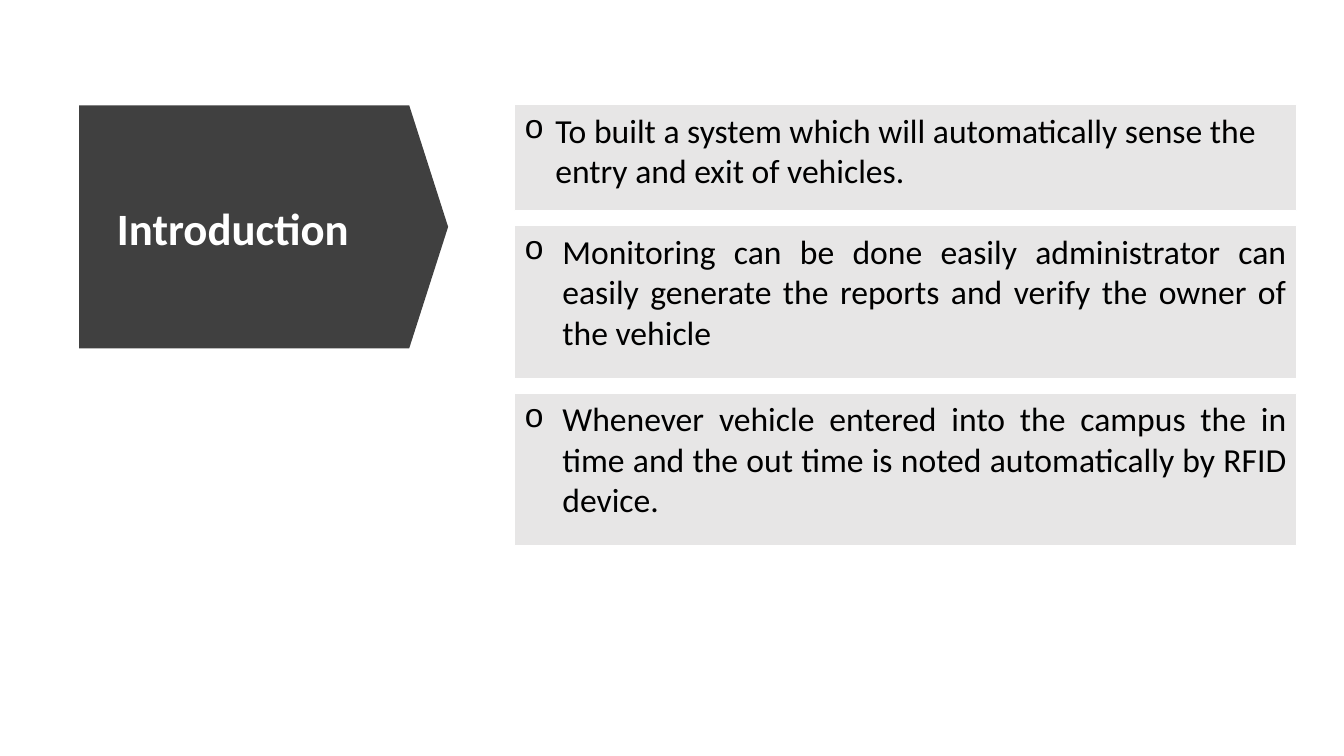
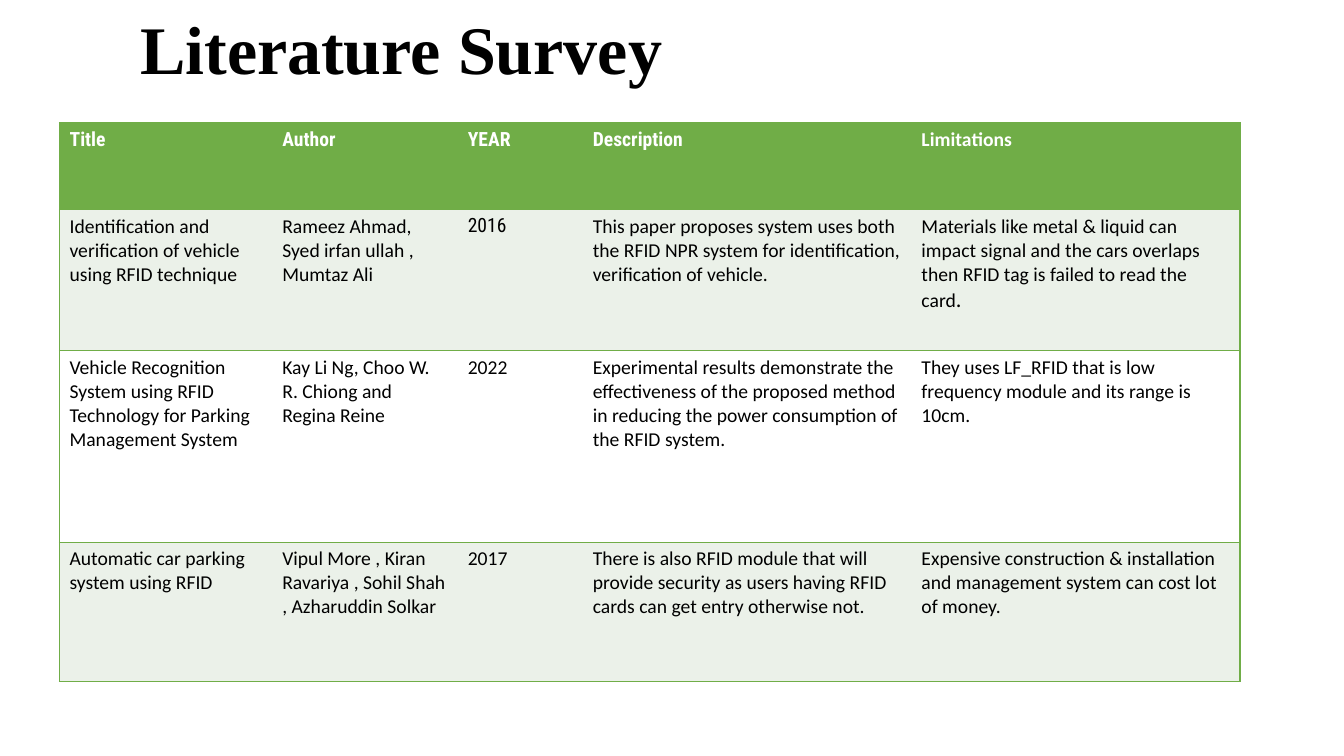
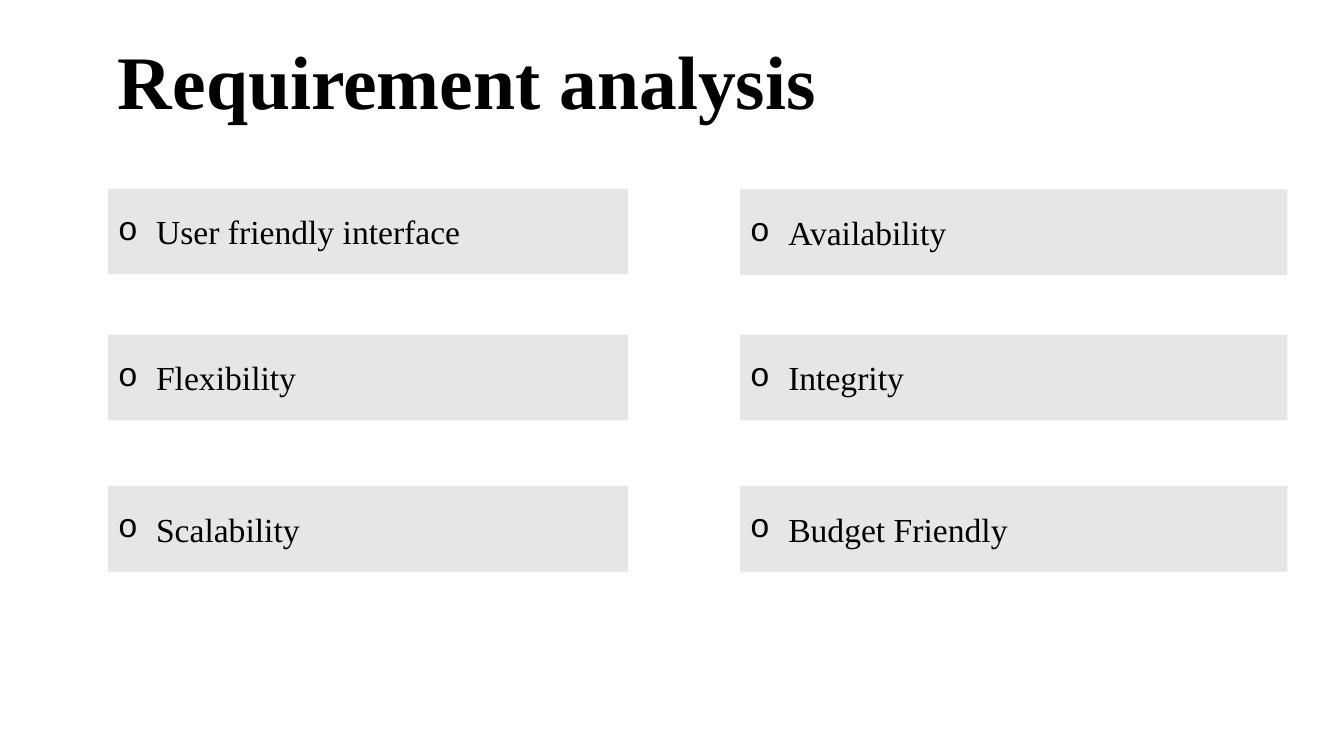
from lxml.etree import SubElement
from pptx import Presentation
from pptx.dml.color import RGBColor
from pptx.enum.shapes import MSO_SHAPE
from pptx.enum.text import MSO_ANCHOR, MSO_AUTO_SIZE, PP_ALIGN
from pptx.oxml.ns import qn
from pptx.util import Inches, Pt

BLACK = RGBColor(0x00, 0x00, 0x00)
WHITE = RGBColor(0xFF, 0xFF, 0xFF)
CHARCOAL = RGBColor(0x40, 0x40, 0x40)
PANEL = RGBColor(0xE7, 0xE6, 0xE6)
GREEN = RGBColor(0x70, 0xAD, 0x47)
PALE_GREEN = RGBColor(0xEB, 0xF1, 0xE9)
SANS, SERIF, CONDENSED = "Calibri", "Times New Roman", "Roboto Condensed"

GOALS = [  # text, panel height, indent, alignment
    ("To built a system which will automatically sense the entry and exit of vehicles.",
     1.05, 0.31, PP_ALIGN.LEFT),
    ("Monitoring can be done easily administrator can easily generate the reports "
     "and verify the owner of the vehicle", 1.51, 0.38, PP_ALIGN.JUSTIFY),
    ("Whenever vehicle entered into the campus the in time and the out time is noted "
     "automatically by RFID device.", 1.51, 0.38, PP_ALIGN.JUSTIFY),
]
PAPERS = [
    ("Title", "Author", "YEAR", "Description", "Limitations"),
    ("Identification and verification of vehicle using RFID technique",
     "Rameez Ahmad, Syed irfan ullah ,\nMumtaz Ali", "2016",
     "This paper proposes system uses both the RFID NPR system for identification, "
     "verification of vehicle.",
     "Materials like metal & liquid can impact signal and the cars overlaps then "
     "RFID tag is failed to read the card"),
    ("Vehicle Recognition System using RFID Technology for Parking Management System",
     "Kay Li Ng, Choo W. R. Chiong and Regina Reine", "2022",
     "Experimental results demonstrate the effectiveness of the proposed method in "
     "reducing the power consumption of the RFID system.",
     "They uses LF_RFID that is low frequency module and its range is 10cm."),
    ("Automatic car parking system using RFID",
     "Vipul More , Kiran Ravariya , Sohil Shah , Azharuddin Solkar", "2017",
     "There is also RFID module that will provide security as users having RFID cards "
     "can get entry otherwise not.",
     "Expensive construction & installation and management system can cost lot of money."),
]
REQUIREMENTS = [  # left, top of first panel, width, items
    (1.07, 1.87, 5.16, ("User friendly interface", "Flexibility", "Scalability")),
    (7.34, 1.88, 5.43, ("Availability", "Integrity", "Budget Friendly")),
]


def write(p, text, font=SANS, size=24, color=BLACK, bold=False):
    """Add one formatted run to a paragraph."""
    r = p.add_run()
    r.text = text
    r.font.name, r.font.size, r.font.bold = font, Pt(size), bold
    r.font.color.rgb = color


def add_bullet(p, indent):
    pPr = p._p.get_or_add_pPr()
    pPr.set("marL", str(Inches(indent)))
    pPr.set("indent", str(-Inches(indent)))
    SubElement(pPr, qn("a:buFont"), typeface="Courier New")
    SubElement(pPr, qn("a:buChar"), char="o")


def place_title(s, text, x, y, w, h, anchor=MSO_ANCHOR.TOP, **fmt):
    """Fill the title placeholder and bring it to the front."""
    title = s.shapes.title
    title.left, title.top, title.width, title.height = map(Inches, (x, y, w, h))
    tf = title.text_frame
    tf.word_wrap, tf.auto_size, tf.vertical_anchor = True, MSO_AUTO_SIZE.NONE, anchor
    p = tf.paragraphs[0]
    p.alignment, p.line_spacing = PP_ALIGN.LEFT, 0.9
    write(p, text, bold=True, **fmt)
    title.element.getparent().append(title.element)


def add_block(s, kind, x, y, w, h, fill):
    sp = s.shapes.add_shape(kind, *map(Inches, (x, y, w, h)))
    sp.shadow.inherit = False
    sp.fill.solid()
    sp.fill.fore_color.rgb = fill
    sp.line.fill.background()
    return sp


def add_panel(s, text, x, y, w, h, font, indent=0.38, anchor=MSO_ANCHOR.MIDDLE,
              align=PP_ALIGN.LEFT, after=0):
    """Grey box holding one bulleted statement."""
    sp = add_block(s, MSO_SHAPE.RECTANGLE, x, y, w, h, PANEL)
    tf = sp.text_frame
    tf.word_wrap, tf.vertical_anchor = True, anchor
    p = tf.paragraphs[0]
    p.alignment, p.space_after = align, Pt(after)
    add_bullet(p, indent)
    write(p, text, font)
    return sp


def set_border(cell, sides, color=None):
    """Give cell sides (in L, R, T, B order) a 1 pt line, or none."""
    for side in sides:
        ln = SubElement(cell._tc.get_or_add_tcPr(), qn("a:ln" + side), w=str(Pt(1)))
        if color is None:
            SubElement(ln, qn("a:noFill"))
        else:
            fill = SubElement(ln, qn("a:solidFill"))
            SubElement(fill, qn("a:srgbClr"), val=str(color))


def add_survey_table(s, x, y, widths, heights):
    frame = s.shapes.add_table(len(heights), len(widths), Inches(x), Inches(y),
                               Inches(sum(widths)), Inches(sum(heights)))
    table = frame.table
    for col, width in zip(table.columns, widths):
        col.width = Inches(width)
    last = len(widths) - 1
    for i, (row, height) in enumerate(zip(table.rows, heights)):
        row.height = Inches(height)
        for j, cell in enumerate(row.cells):
            set_border(cell, "L", GREEN if j == 0 else None)
            set_border(cell, "R", GREEN if j == last else None)
            set_border(cell, "TB", GREEN)
            cell.fill.solid()
            cell.fill.fore_color.rgb = GREEN if i == 0 else PALE_GREEN if i % 2 else WHITE
            condensed = (i == 0 and j < last) or (i, j) == (1, 2)
            for n, line in enumerate(PAPERS[i][j].split("\n")):
                tf = cell.text_frame
                p = tf.add_paragraph() if n else tf.paragraphs[0]
                write(p, line, CONDENSED if condensed else SANS, 14,
                      WHITE if i == 0 else BLACK, bold=i == 0)
    # Larger full stop after the first limitation
    write(table.cell(1, last).text_frame.paragraphs[0], ".", size=16)


def introduction(s):
    # Arrow pointing right behind the title
    arrow = add_block(s, MSO_SHAPE.DOWN_ARROW, 1.41, 0.42, 2.41, 3.66, CHARCOAL)
    arrow.rotation = 270
    arrow.adjustments[0], arrow.adjustments[1] = 1, 0.16
    # Stack of goals
    y, gap = 1.04, 0.15
    for text, height, indent, align in GOALS:
        panel = add_panel(s, text, 5.1, y, 7.76, height, SANS, indent,
                          MSO_ANCHOR.TOP, align, after=6)
        panel.line.color.rgb = WHITE
        panel.line.width = Pt(0.5)
        y += height + gap
    place_title(s, "Introduction", 1.06, 1.32, 2.92, 1.95, MSO_ANCHOR.MIDDLE,
                size=32, color=WHITE)


def literature_survey(s):
    place_title(s, "Literature Survey", 1.29, 0.11, 8.46, 0.84, font=SERIF, size=48.6)
    add_survey_table(s, 0.59, 1.22, (2.11, 1.84, 1.24, 3.26, 3.26), (0.86, 1.4, 1.9, 1.38))


def requirement_analysis(s):
    place_title(s, "Requirement analysis", 1.07, 0.39, 11.2, 1.27, font=SERIF, size=54)
    for x, top, width, items in REQUIREMENTS:
        for text, y in zip(items, (top, 3.32, 4.82)):
            add_panel(s, text, x, y, width, 0.85, SERIF)


def main():
    prs = Presentation()
    prs.slide_width, prs.slide_height = Inches(13.33), Inches(7.5)
    title_only = prs.slide_layouts[5]
    for build in (introduction, literature_survey, requirement_analysis):
        build(prs.slides.add_slide(title_only))
    prs.save("out.pptx")


if __name__ == "__main__":
    main()
